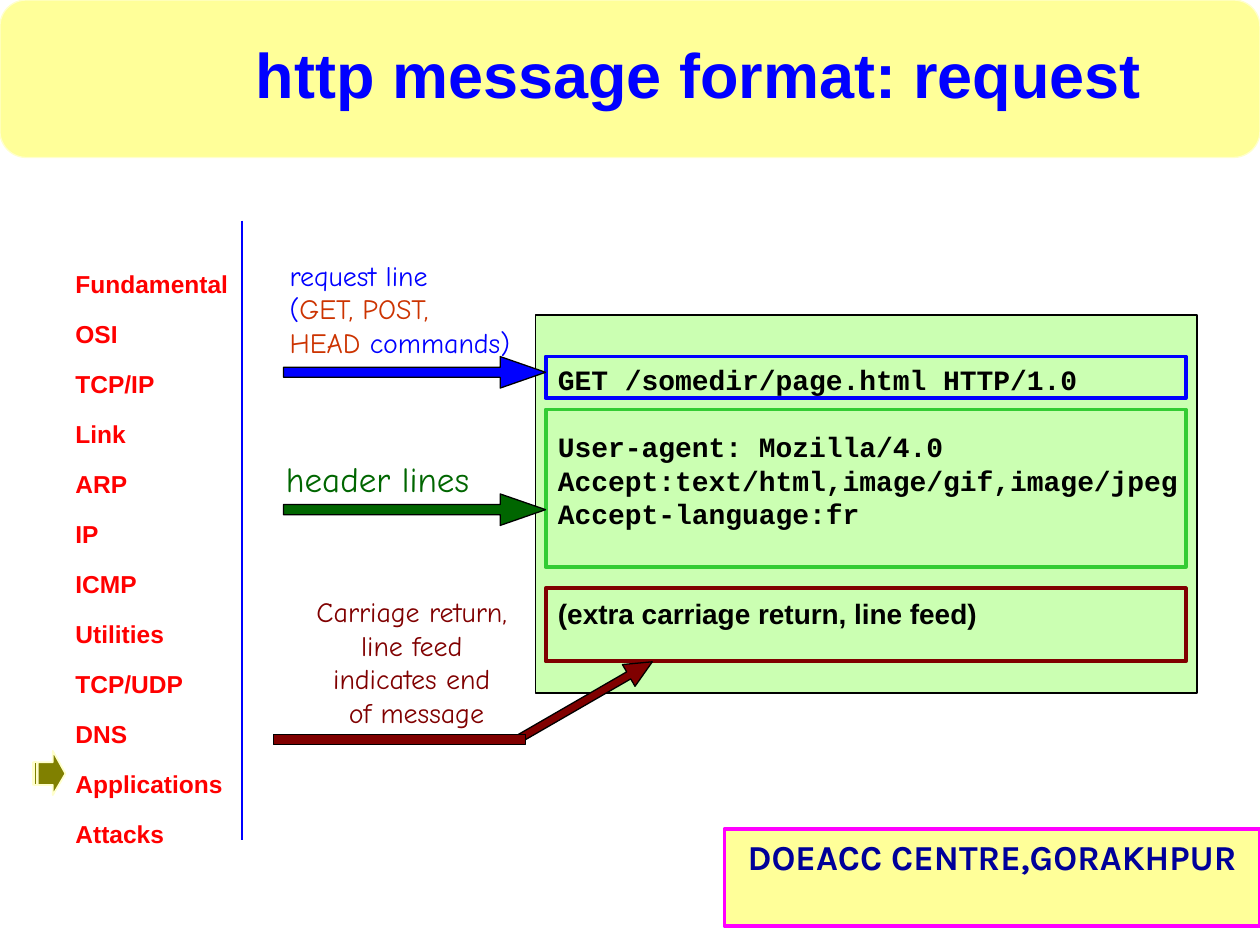
from dataclasses import dataclass, field
from typing import NamedTuple

from lxml import etree
from pptx import Presentation
from pptx.dml.color import RGBColor
from pptx.enum.shapes import MSO_CONNECTOR, MSO_SHAPE
from pptx.enum.text import MSO_ANCHOR, PP_ALIGN
from pptx.oxml.ns import qn
from pptx.util import Inches, Pt

RECT = MSO_SHAPE.RECTANGLE
ARROW = MSO_SHAPE.RIGHT_ARROW
BANNER = MSO_SHAPE.FLOWCHART_ALTERNATE_PROCESS
STRAIGHT = MSO_CONNECTOR.STRAIGHT
LEFT, CENTER = PP_ALIGN.LEFT, PP_ALIGN.CENTER
TOP, MIDDLE = MSO_ANCHOR.TOP, MSO_ANCHOR.MIDDLE

BLUE, GREEN, MAROON, RUST = "0000FF", "006600", "800000", "CC3300"
YELLOW, CREAM, BLACK = "FFFF99", "FFFFCC", "000000"


class Box(NamedTuple):
    left: float
    top: float
    width: float
    height: float


class Span(NamedTuple):
    text: str
    color: str
    font: str | None = None


@dataclass
class Label:
    box: Box
    lines: list[list[Span]]
    font: str
    size: float
    bold: bool = False
    align: PP_ALIGN = LEFT
    anchor: MSO_ANCHOR = TOP
    wrap: bool = True
    spacing: float | None = None
    gaps: dict[int, float] = field(default_factory=dict)


@dataclass
class Block:
    kind: MSO_SHAPE
    box: Box
    fill: str | None
    line: str
    weight: float = 0.75
    alpha: int = 100
    rotation: float = 0
    adjustments: tuple[float, ...] = ()


def plain(color: str, *texts: str) -> list[list[Span]]:
    return [[Span(text, color)] for text in texts]


def rgb(value: str) -> RGBColor:
    return RGBColor.from_string(value)


def inches(box: Box) -> list[int]:
    return [Inches(v) for v in box]


def paint(sp, fill: str | None, line: str, weight: float) -> None:
    sp.shadow.inherit = False
    if fill:
        sp.fill.solid()
        sp.fill.fore_color.rgb = rgb(fill)
    else:
        sp.fill.background()
    sp.line.color.rgb = rgb(line)
    sp.line.width = Pt(weight)


def draw_block(s, block: Block) -> None:
    sp = s.shapes.add_shape(block.kind, *inches(block.box))
    paint(sp, block.fill, block.line, block.weight)
    sp.rotation = block.rotation
    for i, value in enumerate(block.adjustments):
        sp.adjustments[i] = value
    if block.alpha < 100:
        color = sp._element.spPr.find(qn("a:solidFill"))[0]
        etree.SubElement(color, qn("a:alpha")).set("val", str(block.alpha * 1000))


def draw_label(s, label: Label) -> None:
    tf = s.shapes.add_textbox(*inches(label.box)).text_frame
    tf.word_wrap = label.wrap
    tf.vertical_anchor = label.anchor
    for i, spans in enumerate(label.lines):
        p = tf.add_paragraph() if i else tf.paragraphs[0]
        p.alignment = label.align
        if label.spacing:
            p.line_spacing = label.spacing
        if i in label.gaps:
            p.space_before = Pt(label.gaps[i])
        for span in spans:
            r = p.add_run()
            r.text = span.text
            r.font.name = span.font or label.font
            r.font.size = Pt(label.size)
            r.font.bold = label.bold
            r.font.color.rgb = rgb(span.color)


def draw_divider(s, x: float, top: float, bottom: float) -> None:
    line = s.shapes.add_connector(STRAIGHT, Inches(x), Inches(top), Inches(x), Inches(bottom))
    line.line.color.rgb = rgb(BLUE)
    line.line.width = Pt(1.5)
    etree.SubElement(line._element.spPr, qn("a:effectLst"))


def draw_topic_marker(s) -> None:
    top, bottom = 605, 623
    head = [(42, top), (42, 596), (52, 614), (42, 631), (42, bottom), (30, bottom)]
    builder = s.shapes.build_freeform(30, top, scale=Inches(0.01))
    builder.add_line_segments(head)
    for left, right in ((26, 26), (27, 29)):
        builder.move_to(left, top)
        builder.add_line_segments([(right, top), (right, bottom), (left, bottom)])
    paint(builder.convert_to_shape(), "808000", CREAM, 1)


def frame(top: float, height: float, color: str) -> Block:
    return Block(RECT, Box(4.33, top, 5.08, height), None, color, 2.25)


def pointer(top: float, color: str) -> Block:
    return Block(ARROW, Box(2.25, top, 2.08, 0.25), color, BLACK, adjustments=(0.32, 1.44))


TOPICS = ("Fundamental", "OSI", "TCP/IP", "Link", "ARP", "IP", "ICMP", "Utilities",
          "TCP/UDP", "DNS", "Applications", "Attacks")

BACKDROP = [
    Block(BANNER, Box(0, 0, 10, 1.25), YELLOW, CREAM),
    Block(RECT, Box(5.75, 6.58, 4.25, 0.77), YELLOW, "FF00FF", 2.25),
    Block(RECT, Box(4.25, 2.5, 5.25, 3), "99FF66", BLACK, alpha=50),
]

LABELS = [
    Label(Box(0.5, 1.92, 1.75, 4.92), plain("FF0000", *TOPICS), "Arial", 14, bold=True,
          spacing=1.7),
    Label(Box(5.75, 6.58, 4.25, 0.77), plain("000099", "DOEACC CENTRE,GORAKHPUR"),
          "Karla", 20, bold=True, align=CENTER),
    Label(Box(1.67, 0.23, 7.75, 0.7), plain(BLUE, "http message format: request"),
          "Arial", 36, bold=True, align=CENTER, anchor=MIDDLE),
    Label(Box(2.2, 2, 1.95, 0.9),
          [[Span("request line", BLUE)],
           [Span("(", BLUE), Span("GET, POST,", RUST)],
           [Span("HEAD", RUST), Span(" commands)", BLUE)]],
          "Comic Neue", 16, wrap=False),
    Label(Box(2.17, 3.58, 2.02, 0.44), plain(GREEN, "header lines"), "Comic Neue", 20),
    Label(Box(2.33, 4.67, 1.95, 1.17),
          plain(MAROON, "Carriage return, ", "line feed ", "indicates end ", "of message"),
          "Comic Neue", 16, align=CENTER),
    Label(Box(4.33, 2.83, 5.25, 2.24),
          plain(BLACK, "GET /somedir/page.html HTTP/1.0", "User-agent: Mozilla/4.0",
                "Accept:text/html,image/gif,image/jpeg", "Accept-language:fr")
          + [[Span("(extra carriage return, line feed)", BLACK, "Arial")]],
          "Courier New", 16, bold=True, gaps={1: 19, 4: 38}),
]

CALLOUTS = [
    frame(2.83, 0.33, BLUE),
    frame(3.25, 1.25, "33CC33"),
    frame(4.67, 0.58, MAROON),
    pointer(3.92, GREEN),
    pointer(2.83, BLUE),
    Block(ARROW, Box(4.03, 5.46, 1.23, 0.2), MAROON, BLACK, rotation=330,
          adjustments=(0.32, 1.08)),
    Block(RECT, Box(2.17, 5.83, 2, 0.08), MAROON, BLACK),
]


def main() -> None:
    prs = Presentation()
    prs.slide_width, prs.slide_height = Inches(10), Inches(7.5)
    s = prs.slides.add_slide(prs.slide_layouts[6])
    for block in BACKDROP:
        draw_block(s, block)
    draw_divider(s, 1.92, 1.75, 6.67)
    draw_topic_marker(s)
    for label in LABELS:
        draw_label(s, label)
    for block in CALLOUTS:
        draw_block(s, block)
    prs.save("out.pptx")


if __name__ == "__main__":
    main()
